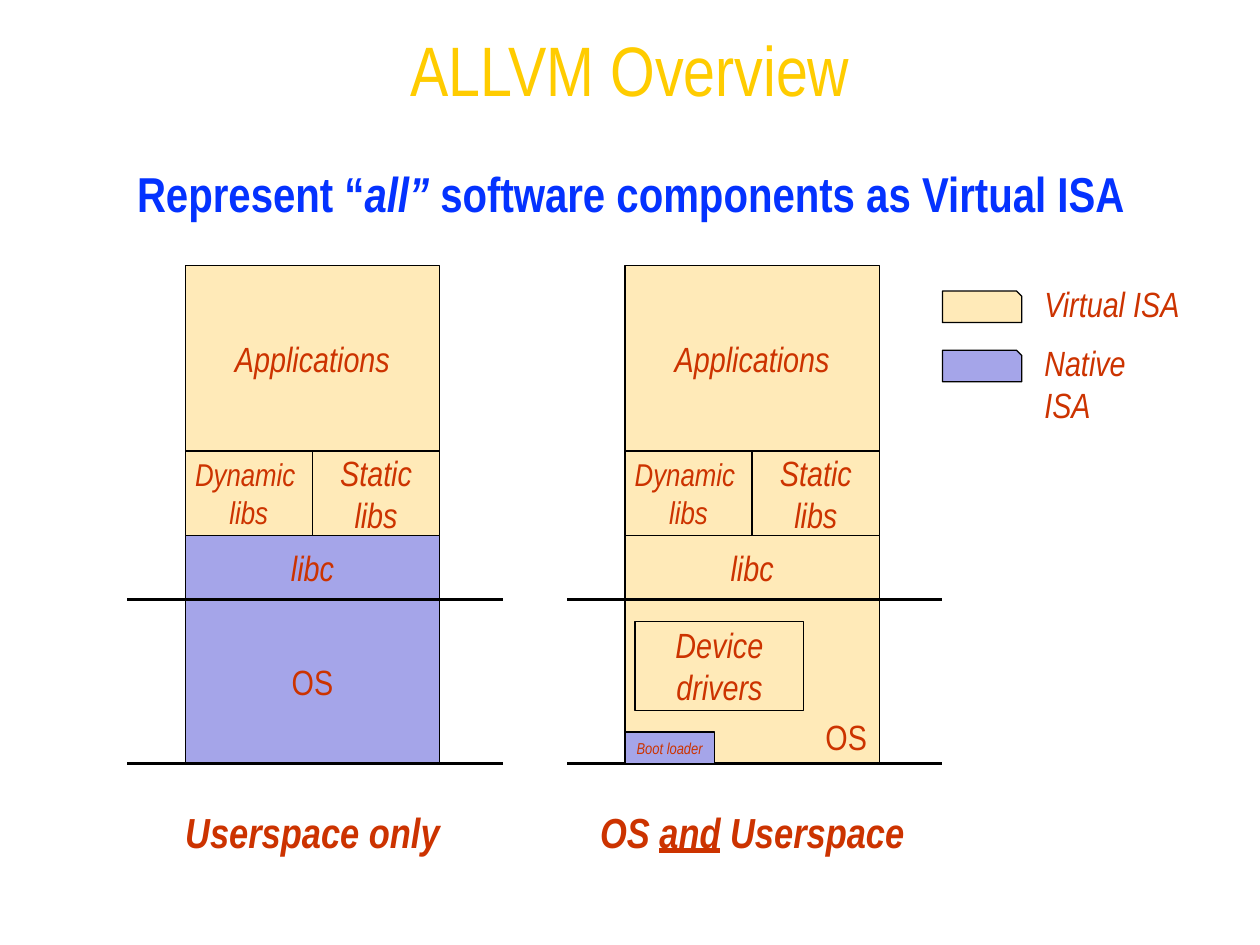
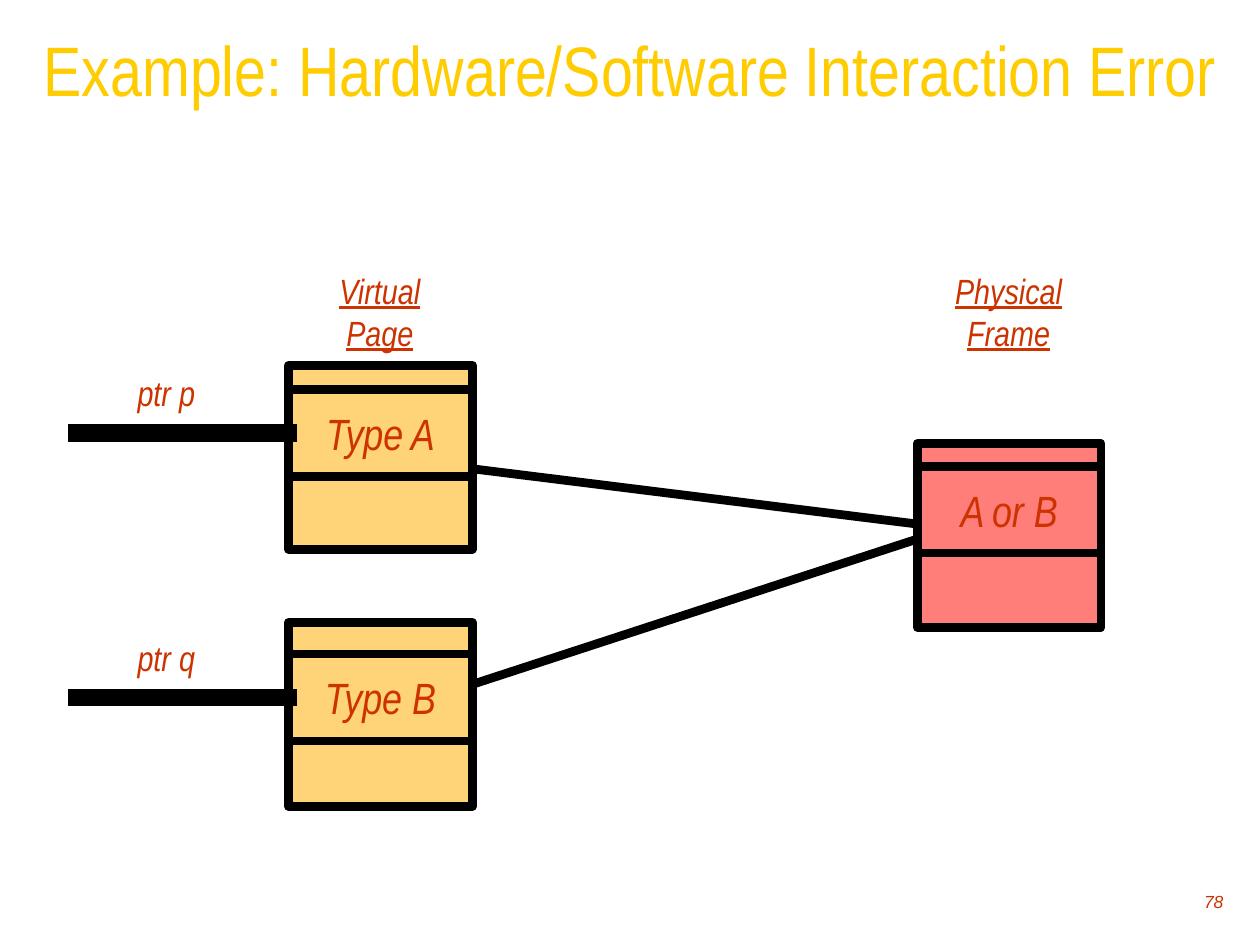
from pptx import Presentation
from pptx.dml.color import RGBColor
from pptx.enum.shapes import MSO_CONNECTOR, MSO_SHAPE
from pptx.enum.text import MSO_ANCHOR, PP_ALIGN
from pptx.oxml.ns import qn
from pptx.util import Inches, Pt
from lxml import etree

RECTANGLE, SNIPPED = MSO_SHAPE.RECTANGLE, MSO_SHAPE.SNIP_1_RECTANGLE
STRAIGHT = MSO_CONNECTOR.STRAIGHT
LEFT, CENTER, RIGHT = PP_ALIGN.LEFT, PP_ALIGN.CENTER, PP_ALIGN.RIGHT
TOP, MIDDLE, BOTTOM = MSO_ANCHOR.TOP, MSO_ANCHOR.MIDDLE, MSO_ANCHOR.BOTTOM
LEFT_SIDE = 1

COLORS = {
    "title": "FFCC00", "text": "CC3300", "heading": "0432FF", "line": "000000",
    "virtual": "FFEAB8", "native": "A5A5E9", "page": "FFD479", "frame": "FF7E79",
}
WIDTH, HEIGHT = 10, 7.5

# Text formats
BODY = {"name": "Arial Narrow", "size": 20, "color": "text"}
LABEL = {**BODY, "italic": True}
TITLE = {**BODY, "size": 40, "color": "title"}
HEADING = {**BODY, "size": 28, "color": "heading", "bold": True}
CAPTION = {**LABEL, "size": 24, "bold": True}
UNDERLINED = {**LABEL, "underline": True}
CELL = {**LABEL, "size": 25}
PAGE_NUMBER = {**LABEL, "name": "Arial", "size": 10}

# Software stack grid: two columns, four layers
COLUMN = 1.01
LAYER_EDGES = [2.11, 3.58, 4.25, 4.76, 6.06]
APPLICATIONS, LIBRARIES, LIBC, SYSTEM = range(4)

# Memory blocks: a square with one labelled cell
BLOCK = 1.46
CELL_HEIGHT = 0.69
PAGE_LEFT, FRAME_LEFT = 2.29, 7.28


def rgb(name):
    return RGBColor.from_string(COLORS[name])


def set_font(font, text_format):
    for key, value in text_format.items():
        if key == "color":
            font.color.rgb = rgb(value)
        else:
            setattr(font, key, Pt(value) if key == "size" else value)


def write(shape, paragraphs, text_format, align=CENTER, anchor=MIDDLE,
          margins=(0.1, 0.05), wrap=False):
    """Each paragraph is a string or a list of (text, format changes)."""
    frame = shape.text_frame
    frame.word_wrap, frame.vertical_anchor = wrap, anchor
    frame.margin_left = frame.margin_right = Inches(margins[0])
    frame.margin_top = frame.margin_bottom = Inches(margins[1])
    for index, runs in enumerate(paragraphs):
        paragraph = frame.add_paragraph() if index else frame.paragraphs[0]
        paragraph.alignment = align
        for text, changes in [(runs, {})] if isinstance(runs, str) else runs:
            run = paragraph.add_run()
            run.text = text
            set_font(run.font, {**text_format, **changes})


def add_titled_slide(presentation, text):
    slide = presentation.slides.add_slide(presentation.slide_layouts[5])
    title = slide.shapes.title
    title.left, title.top = 0, 0
    title.width, title.height = Inches(WIDTH), Inches(1.08)
    write(title, [text], TITLE, wrap=True)
    return slide


def add_box(slide, left, top, width, height, fill=None, weight=0.75, kind=RECTANGLE):
    shape = slide.shapes.add_shape(kind, *map(Inches, (left, top, width, height)))
    shape.shadow.inherit = False
    if fill:
        shape.fill.solid()
        shape.fill.fore_color.rgb = rgb(fill)
    else:
        shape.fill.background()
    shape.line.color.rgb = rgb("line")
    shape.line.width = Pt(weight)
    return shape


def add_text(slide, left, top, width, height, paragraphs, text_format, **layout):
    box = slide.shapes.add_textbox(*map(Inches, (left, top, width, height)))
    write(box, paragraphs, text_format, **layout)


def add_line(slide, start, end, weight, arrow=False):
    line = slide.shapes.add_connector(STRAIGHT, *map(Inches, (*start, *end)))
    line.line.color.rgb = rgb("line")
    line.line.width = Pt(weight)
    properties = line._element.spPr
    etree.SubElement(properties, qn("a:effectLst"))
    if arrow:
        etree.SubElement(properties.find(qn("a:ln")), qn("a:tailEnd"), type="triangle")
    return line


# Overview slide
def add_layer(slide, left, layer, fill, paragraphs, text_format=LABEL,
              column=0, span=2, **layout):
    top, bottom = LAYER_EDGES[layer:layer + 2]
    box = add_box(slide, left + column * COLUMN, top, span * COLUMN, bottom - top, fill)
    write(box, paragraphs, text_format, **layout)


def add_stack(slide, left, system_fill, caption, **system_layout):
    add_layer(slide, left, SYSTEM, system_fill, ["OS"], BODY, **system_layout)
    add_layer(slide, left, APPLICATIONS, "virtual", ["Applications"])
    add_layer(slide, left, LIBC, system_fill, ["libc"])
    add_layer(slide, left, LIBRARIES, "virtual", ["Dynamic ", "libs"],
              {**LABEL, "size": 18}, span=1)
    add_layer(slide, left, LIBRARIES, "virtual", ["Static", "libs"], column=1, span=1)
    for y in LAYER_EDGES[SYSTEM:]:
        add_line(slide, (left - 0.46, y), (left + 2.52, y), 1.5)
    add_text(slide, left - 0.3, 6.35, 2 * COLUMN + 0.6, 0.5, [caption], CAPTION, anchor=TOP)


def build_overview(presentation):
    slide = add_titled_slide(presentation, "ALLVM Overview")
    add_text(slide, 0.42, 1.25, 9.17, 0.61,
             [[("Represent “", {}), ("all”", {"italic": True}),
               (" software components as Virtual ISA", {})]],
             HEADING, anchor=TOP, wrap=True)

    add_stack(slide, 1.47, "native", "Userspace only")
    right_stack = 4.96
    add_stack(slide, right_stack, "virtual",
              [("OS ", {}), ("and", {"underline": True}), (" Userspace", {})],
              align=RIGHT, anchor=BOTTOM)
    drivers = add_box(slide, right_stack + 0.08, 4.93, 1.34, 0.71)
    write(drivers, ["Device", "drivers"], LABEL)
    loader = add_box(slide, right_stack, 5.81, 0.71, 0.25, "native")
    write(loader, ["Boot loader"], {**LABEL, "size": 9})

    # Legend
    for row, (fill, name) in enumerate([("virtual", "Virtual ISA"), ("native", "Native ISA")]):
        top = 2.31 + row * 0.47
        add_box(slide, 7.48, top, 0.63, 0.25, fill, kind=SNIPPED)
        add_text(slide, 8.19, top - 0.12, 1.27, 0.43, [name], LABEL, align=LEFT, anchor=TOP)


# Interaction error slide
def add_cell(slide, left, top, fill, name):
    cell = add_box(slide, left, top, BLOCK, CELL_HEIGHT, fill, weight=5)
    write(cell, [name], CELL, margins=(0, 0), wrap=True)
    return cell


def add_pointer(slide, cell, cell_top, name, label_top):
    y = cell_top + CELL_HEIGHT / 2
    pointer = add_line(slide, (0.61, y), (PAGE_LEFT, y), 10)
    pointer.end_connect(cell, LEFT_SIDE)
    pointer.line._get_or_add_ln().set("cap", "sq")
    add_text(slide, 1.05, label_top, 0.54, 0.41, [name], LABEL, margins=(0.04, 0.04))


def build_interaction_error(presentation):
    slide = add_titled_slide(presentation, "Example: Hardware/Software Interaction Error")
    add_text(slide, 9.53, 7.07, 0.18, 0.17, ["78"], PAGE_NUMBER,
             align=RIGHT, anchor=TOP, margins=(0, 0))

    # Block top, cell top, cell name, pointer name, pointer label top, mapping end
    pages = [(2.9, 3.09, "Type A", "ptr p", 2.91, 4.25),
             (4.94, 5.19, "Type B", "ptr q", 5.01, 4.04)]
    for top, *_ in pages:
        add_box(slide, PAGE_LEFT, top, BLOCK, BLOCK, "page", weight=5)

    # Mappings run between block centres, behind the cells
    half = BLOCK / 2
    add_box(slide, FRAME_LEFT, 3.52, BLOCK, BLOCK, "frame", weight=5)
    for top, *_, end in pages:
        add_line(slide, (PAGE_LEFT + half, top + half), (FRAME_LEFT + half, end), 5, arrow=True)

    for _, cell_top, name, pointer_name, label_top, _ in pages:
        cell = add_cell(slide, PAGE_LEFT, cell_top, "page", name)
        add_pointer(slide, cell, cell_top, pointer_name, label_top)
    add_cell(slide, FRAME_LEFT, 3.7, "frame", "A or B")

    for left, width, name in [(2.36, 1.31, "Virtual Page"), (7.18, 1.65, "Physical Frame")]:
        add_text(slide, left, 2.27, width, 0.41, [name], UNDERLINED, margins=(0.04, 0.04))


def main():
    presentation = Presentation()
    presentation.slide_width, presentation.slide_height = Inches(WIDTH), Inches(HEIGHT)
    build_overview(presentation)
    build_interaction_error(presentation)
    presentation.save("out.pptx")


if __name__ == "__main__":
    main()
